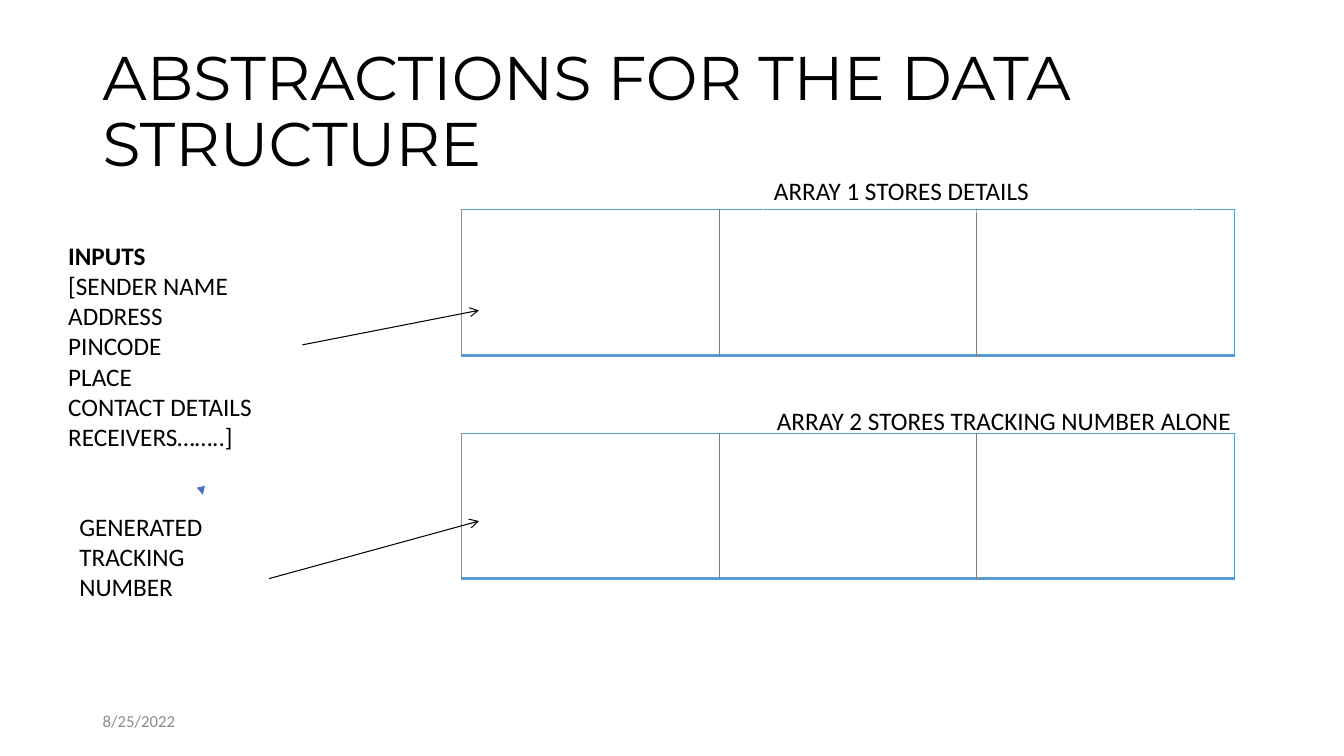
from dataclasses import dataclass

from lxml import etree
from pptx import Presentation
from pptx.dml.color import RGBColor
from pptx.enum.shapes import MSO_CONNECTOR
from pptx.enum.text import MSO_ANCHOR, MSO_AUTO_SIZE
from pptx.oxml.ns import qn
from pptx.slide import Slide
from pptx.table import Table, _Cell
from pptx.util import Cm, Pt

STRAIGHT = MSO_CONNECTOR.STRAIGHT
TOP, MIDDLE = MSO_ANCHOR.TOP, MSO_ANCHOR.MIDDLE
GROW, FIXED = MSO_AUTO_SIZE.SHAPE_TO_FIT_TEXT, MSO_AUTO_SIZE.NONE


@dataclass(frozen=True)
class Theme:
    ink: str = "000000"
    muted: str = "8C8C8C"
    frame: str = "5B9BD5"
    divider: str = "7F7F7F"
    accent: str = "4472C4"
    heading: str = "Montserrat"
    body: str = "Calibri"
    title_size: float = 44
    body_size: float = 18
    date_size: float = 12


THEME = Theme()


@dataclass(frozen=True)
class Style:
    font: str = THEME.body
    size: float = THEME.body_size
    color: str = THEME.ink
    anchor: MSO_ANCHOR = TOP
    auto_size: MSO_AUTO_SIZE = GROW
    spacing: float = 1.0


BODY = Style()
TITLE = Style(THEME.heading, THEME.title_size, THEME.ink, MIDDLE, FIXED, 0.9)
DATE = Style(THEME.body, THEME.date_size, THEME.muted, MIDDLE, FIXED)


@dataclass(frozen=True)
class Box:
    left: float
    top: float
    width: float
    height: float

    def lengths(self) -> tuple[Cm, Cm, Cm, Cm]:
        return Cm(self.left), Cm(self.top), Cm(self.width), Cm(self.height)


@dataclass(frozen=True)
class Label:
    box: Box
    lines: tuple[str, ...]
    style: Style = BODY
    bold_first: bool = False


@dataclass(frozen=True)
class Arrow:
    start: tuple[float, float]
    end: tuple[float, float]
    color: str = THEME.ink
    width: float = 0.75
    head: str = "arrow"


LABELS = (
    Label(Box(2.34, 1.02, 29.21, 3.68), ("ABSTRACTIONS FOR THE DATA STRUCTURE",), TITLE),
    Label(Box(2.34, 17.65, 7.62, 1.02), ("8/25/2022",), DATE),
    Label(
        Box(1.47, 5.92, 6.15, 6.4),
        ("INPUTS", "[SENDER NAME", "ADDRESS", "PINCODE", "PLACE",
         "CONTACT DETAILS", "RECEIVERS……..]"),
        bold_first=True,
    ),
    Label(Box(1.75, 12.75, 4.78, 2.57), ("GENERATED TRACKING NUMBER",)),
    Label(Box(19.33, 10.08, 12.22, 1.02), ("ARRAY 2 STORES TRACKING NUMBER ALONE",)),
)
ARRAYS = (Box(11.63, 5.28, 19.48, 3.68), Box(11.63, 10.92, 19.48, 3.66))
ARRAY_SLOTS = 3
CAPTION = Label(Box(19.25, 4.32, 10.8, 0.91), ("ARRAY 1 STORES DETAILS",))
ARROWS = (
    Arrow((7.62, 8.69), (12.07, 7.82)),
    Arrow((5.08, 12.34), (5.11, 12.47), THEME.accent, 0.5, "triangle"),
    Arrow((6.78, 14.58), (12.07, 13.13)),
)


def write(tf, lines: tuple[str, ...], style: Style, bold_first: bool = False) -> None:
    for i, line in enumerate(lines):
        p = tf.paragraphs[0] if i == 0 else tf.add_paragraph()
        p.line_spacing = style.spacing
        r = p.add_run()
        r.text = line
        fmt = {"name": style.font, "size": Pt(style.size), "bold": bold_first and i == 0}
        for name, value in fmt.items():
            setattr(r.font, name, value)
        r.font.color.rgb = RGBColor.from_string(style.color)


def add_label(s: Slide, label: Label) -> None:
    tf = s.shapes.add_textbox(*label.box.lengths()).text_frame
    fmt = {
        "word_wrap": True,
        "auto_size": label.style.auto_size,
        "vertical_anchor": label.style.anchor,
    }
    for name, value in fmt.items():
        setattr(tf, name, value)
    write(tf, label.lines, label.style, label.bold_first)


def add_row(s: Slide, box: Box, columns: int) -> Table:
    table = s.shapes.add_table(1, columns, *box.lengths()).table
    table.first_row = table.horz_banding = False
    for cell in table.iter_cells():
        cell.fill.background()
    return table


def set_border(cell: _Cell, index: int, side: str, color: str, width: float) -> None:
    ln = etree.Element(qn(f"a:ln{side}"), w=str(Pt(width)))
    fill = etree.SubElement(ln, qn("a:solidFill"))
    etree.SubElement(fill, qn("a:srgbClr"), val=color)
    cell._tc.get_or_add_tcPr().insert(index, ln)


def add_array(s: Slide, box: Box) -> None:
    cells = list(add_row(s, box, ARRAY_SLOTS).iter_cells())
    outer, inner = (THEME.frame, 1), (THEME.divider, 0.5)
    for i, cell in enumerate(cells):
        borders = {
            "L": outer if i == 0 else inner,
            "R": outer if i == ARRAY_SLOTS - 1 else inner,
            "T": outer,
            "B": (THEME.frame, 2),
        }
        for index, (side, (color, width)) in enumerate(borders.items()):
            set_border(cell, index, side, color, width)


def add_arrow(s: Slide, arrow: Arrow) -> None:
    points = (Cm(v) for v in (*arrow.start, *arrow.end))
    sp = s.shapes.add_connector(STRAIGHT, *points)
    sp.line.color.rgb = RGBColor.from_string(arrow.color)
    sp.line.width = Pt(arrow.width)
    etree.SubElement(sp.line._get_or_add_ln(), qn("a:tailEnd"), type=arrow.head)
    etree.SubElement(sp._element.spPr, qn("a:effectLst"))


def main() -> None:
    prs = Presentation()
    prs.slide_width, prs.slide_height = Cm(33.87), Cm(19.05)
    s = prs.slides.add_slide(prs.slide_layouts[6])
    for box in ARRAYS:
        add_array(s, box)
    for label in LABELS:
        add_label(s, label)
    for arrow in ARROWS:
        add_arrow(s, arrow)
    caption = add_row(s, CAPTION.box, 1).cell(0, 0)
    write(caption.text_frame, CAPTION.lines, CAPTION.style)
    prs.save("out.pptx")


if __name__ == "__main__":
    main()
